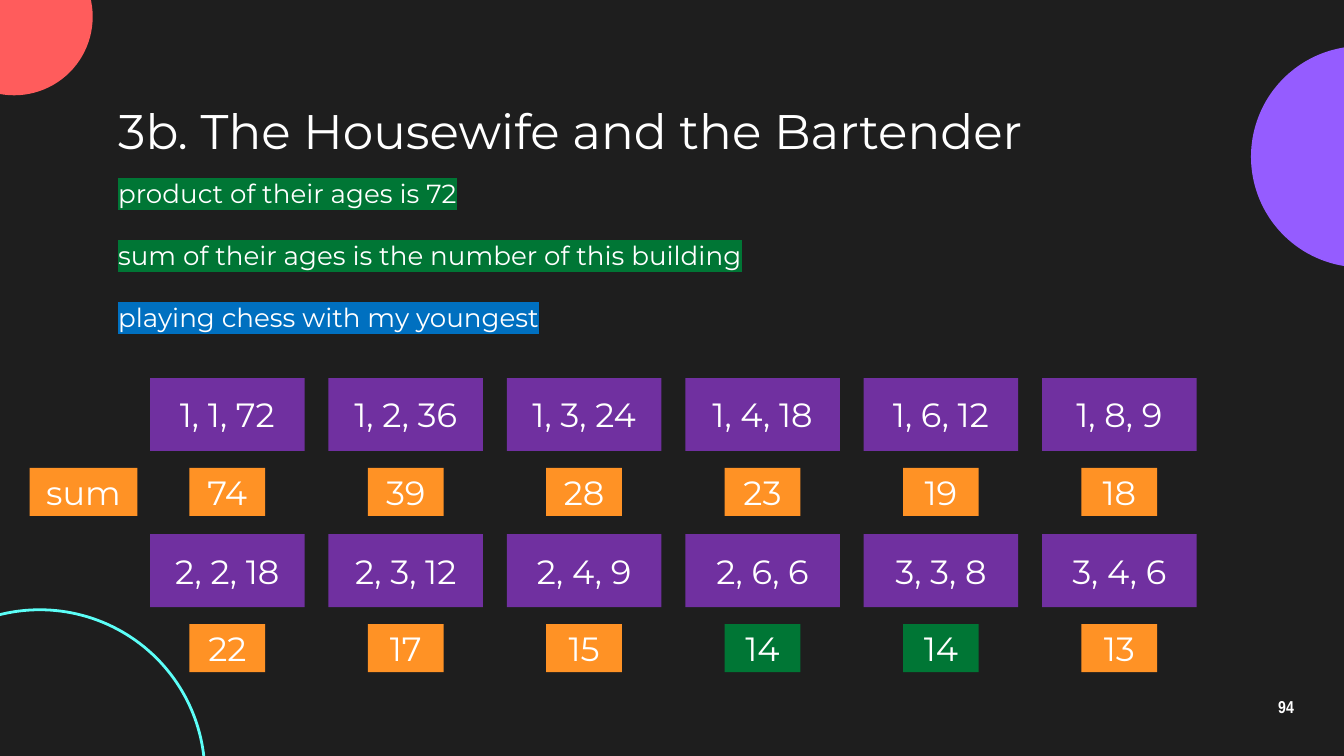
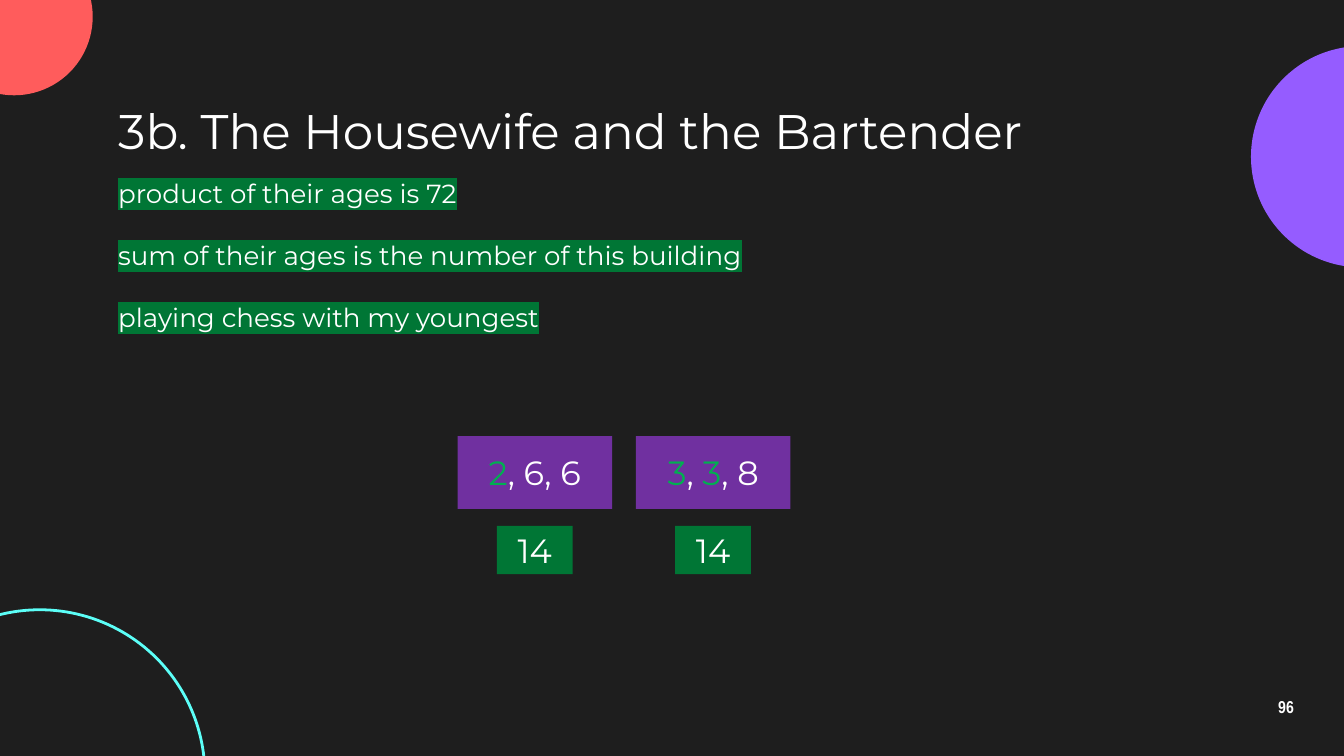
"""Build two slides that solve the riddle of the housewife and the bartender."""
from lxml import etree
from pptx import Presentation
from pptx.dml.color import RGBColor
from pptx.enum.shapes import MSO_SHAPE
from pptx.enum.text import MSO_ANCHOR, PP_ALIGN
from pptx.oxml.ns import qn
from pptx.util import Pt

RECTANGLE, OVAL = MSO_SHAPE.RECTANGLE, MSO_SHAPE.OVAL
MIDDLE, TOP = MSO_ANCHOR.MIDDLE, MSO_ANCHOR.TOP
CENTER, LEFT = PP_ALIGN.CENTER, PP_ALIGN.LEFT

BACKGROUND = RGBColor(0x1E, 0x1E, 0x1E)
WHITE = RGBColor(0xFF, 0xFF, 0xFF)
VIOLET = RGBColor(0x95, 0x5C, 0xFF)
CORAL = RGBColor(0xFF, 0x5C, 0x5C)
CYAN = RGBColor(0x5C, 0xFF, 0xF8)
PURPLE = RGBColor(0x70, 0x30, 0xA0)
ORANGE = RGBColor(0xFF, 0x92, 0x25)
GREEN = RGBColor(0x00, 0x76, 0x35)
BLUE = RGBColor(0x00, 0x70, 0xC0)
YOUNGEST = RGBColor(0x00, 0xB0, 0x50)

FONT = "Montserrat"
AGES_WIDTH, AGES_HEIGHT, AGES_STEP = 82.8, 39.1, 95.57
SUM_WIDTH, SUM_HEIGHT, SUM_DROP = 40.6, 25.8, 48.2
TITLE = "3b. The Housewife and the Bartender"

CIRCLES = [
    (670.2, 24.7, 118.6, VIOLET, None),
    (-34.5, -33.1, 84.2, CORAL, None),
    (-67.2, 326.7, 177, None, CYAN),
]


def add_run(paragraph, text, size, color=WHITE, font=FONT, highlight=None):
    run = paragraph.add_run()
    run.text = text
    run.font.size = Pt(size)
    run.font.name = font
    run.font.color.rgb = color
    if highlight is not None:
        mark = etree.Element(qn("a:highlight"))
        etree.SubElement(mark, qn("a:srgbClr")).set("val", str(highlight))
        run.font.fill._xPr.find(qn("a:solidFill")).addnext(mark)
    return run


def add_tile(slide, left, top, width, height, fill, runs):
    tile = slide.shapes.add_shape(RECTANGLE, Pt(left), Pt(top), Pt(width), Pt(height))
    tile.shadow.inherit = False
    tile.fill.solid()
    tile.fill.fore_color.rgb = fill
    tile.line.fill.background()
    tile.text_frame.vertical_anchor = MIDDLE
    paragraph = tile.text_frame.paragraphs[0]
    paragraph.alignment = CENTER
    for text, color in runs:
        add_run(paragraph, text, 18, color)


all_rows = [
    (202.5, [("1, 1, 72", 74), ("1, 2, 36", 39), ("1, 3, 24", 28),
             ("1, 4, 18", 23), ("1, 6, 12", 19), ("1, 8, 9", 18)]),
    (286.2, [("2, 2, 18", 22), ("2, 3, 12", 17), ("2, 4, 9", 15),
             ("2, 6, 6", 14), ("3, 3, 8", 14), ("3, 4, 6", 13)]),
]
all_rows = [(top, [([(ages, WHITE)], total) for ages, total in row]) for top, row in all_rows]
candidate_rows = [
    (233.6, [([("2", YOUNGEST), (", 6, 6", WHITE)], 14),
             ([("3", YOUNGEST), (", ", WHITE), ("3", YOUNGEST), (", 8", WHITE)], 14)]),
]

prs = Presentation()
prs.slide_width, prs.slide_height = Pt(720), Pt(405)

for number, chess_color, grid_left, rows in [
    ("94", BLUE, 80.4, all_rows),
    ("96", GREEN, 245.1, candidate_rows),
]:
    slide = prs.slides.add_slide(prs.slide_layouts[6])
    slide.background.fill.solid()
    slide.background.fill.fore_color.rgb = BACKGROUND

    for left, top, size, fill, outline in CIRCLES:
        circle = slide.shapes.add_shape(OVAL, Pt(left), Pt(top), Pt(size), Pt(size))
        circle.shadow.inherit = False
        if fill is None:
            circle.fill.background()
            circle.line.color.rgb = outline
            circle.line.width = Pt(1.5)
        else:
            circle.fill.solid()
            circle.fill.fore_color.rgb = fill
            circle.line.fill.background()

    frames = []
    for left, top, width, height, anchor, alignment in [
        (667.4, 367.2, 43.2, 24.5, MIDDLE, CENTER),
        (56.2, 51.1, 607.6, 36.7, MIDDLE, LEFT),
        (56.2, 87.8, 571, 58.3, TOP, LEFT),
    ]:
        frame = slide.shapes.add_textbox(Pt(left), Pt(top), Pt(width), Pt(height)).text_frame
        frame.word_wrap = True
        frame.vertical_anchor = anchor
        frame.margin_left = frame.margin_right = Pt(7.2)
        frame.margin_top = frame.margin_bottom = Pt(7.2)
        frame.paragraphs[0].alignment = alignment
        frames.append(frame)
    page_number, title, clues = frames

    page_number.paragraphs[0].line_spacing = 0.9
    add_run(page_number.paragraphs[0], number, 9.2, font="Arial Narrow").font.bold = True
    add_run(title.paragraphs[0], TITLE, 26)

    for index, (clue, color) in enumerate([
        ("product of their ages is 72", GREEN),
        ("sum of their ages is the number of this building", GREEN),
        ("playing chess with my youngest", chess_color),
    ]):
        paragraph = clues.add_paragraph() if index else clues.paragraphs[0]
        if index:
            paragraph.space_before = Pt(16.4)
        add_run(paragraph, clue, 14, highlight=color)

    for top, row in rows:
        for column, (ages, total) in enumerate(row):
            left = grid_left + column * AGES_STEP
            add_tile(slide, left, top, AGES_WIDTH, AGES_HEIGHT, PURPLE, ages)
            add_tile(slide, left + (AGES_WIDTH - SUM_WIDTH) / 2, top + SUM_DROP,
                     SUM_WIDTH, SUM_HEIGHT, GREEN if total == 14 else ORANGE,
                     [(str(total), WHITE)])

    if rows is all_rows:
        add_tile(slide, 15.9, rows[0][0] + SUM_DROP, 57.7, SUM_HEIGHT, ORANGE, [("sum", WHITE)])

prs.save("out.pptx")
